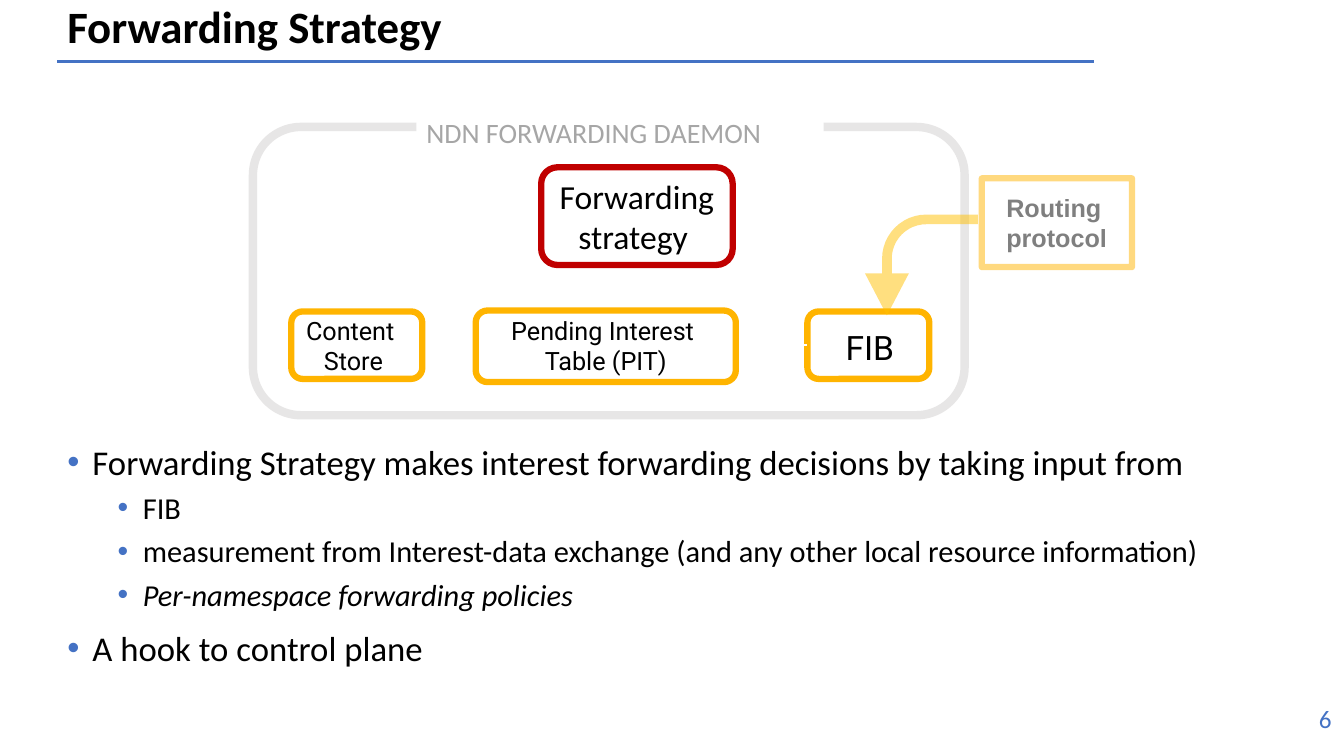
import pptx
import pptx.util
import pptx.dml.color
import pptx.enum.shapes
import pptx.enum.text
import pptx.oxml.ns
import lxml.etree

Pt = pptx.util.Pt
qn = pptx.oxml.ns.qn
SHAPES = pptx.enum.shapes.MSO_SHAPE
ALIGN = pptx.enum.text.PP_ALIGN
ANCHOR = pptx.enum.text.MSO_ANCHOR

BLACK, WHITE, BLUE = "000000", "FFFFFF", "4472C4"
AMBER, RED, GREY, PALE = "FFB400", "C00000", "A6A6A6", "E7E6E6"


def paint(fill, colour, opacity=100):
    """Give a fill (of a shape, line or font) a solid colour."""
    fill.solid()
    fill.fore_color.rgb = pptx.dml.color.RGBColor.from_string(colour)
    if opacity < 100:
        tint = fill._xPr.find(qn("a:solidFill")).find(qn("a:srgbClr"))
        lxml.etree.SubElement(tint, qn("a:alpha"), val=str(opacity * 1000))


def add_run(para, words, size, font="Calibri", colour=BLACK, bold=False,
            italic=False, opacity=100):
    span = para.add_run()
    span.text = words
    span.font.name, span.font.size = font, Pt(size)
    span.font.bold, span.font.italic = bold, italic
    paint(span.font.fill, colour, opacity)


def write(box, lines, size, align=ALIGN.LEFT, anchor=ANCHOR.TOP, spacing=1.0,
          **style):
    """Write one paragraph per line into a shape or text box."""
    frame = box.text_frame
    frame.word_wrap, frame.vertical_anchor = True, anchor
    for index, words in enumerate(lines):
        para = frame.add_paragraph() if index else frame.paragraphs[0]
        para.alignment, para.line_spacing = align, spacing
        add_run(para, words, size, **style)


def add_text(page, place, lines, size, **style):
    box = page.shapes.add_textbox(*map(Pt, place))
    write(box, lines, size, **style)


def add_box(page, kind, place, fill=None, line=None, width=4.5, opacity=100):
    box = page.shapes.add_shape(kind, *map(Pt, place))
    box.shadow.inherit = False
    if fill:
        paint(box.fill, fill)
    else:
        box.fill.background()
    if line:
        paint(box.line.fill, line, opacity)
        box.line.width = Pt(width)
    else:
        box.line.fill.background()
    return box


def add_line(page, start, end, colour, width):
    line = page.shapes.add_connector(
        pptx.enum.shapes.MSO_CONNECTOR.STRAIGHT, *map(Pt, start + end))
    paint(line.line.fill, colour)
    line.line.width = Pt(width)
    lxml.etree.SubElement(line._element.spPr, qn("a:effectLst"))
    return line


def add_bullets(page, place, items):
    frame = page.shapes.add_textbox(*map(Pt, place)).text_frame
    frame.word_wrap = True
    for index, (level, words, italic) in enumerate(items):
        para = frame.add_paragraph() if index else frame.paragraphs[0]
        para.level = level
        para.space_before = Pt(5 if level else 10)
        add_run(para, words, 21.7 if level else 24.8, italic=italic)
        props = para._p.get_or_add_pPr()
        props.set("marL", str(Pt(54 if level else 18)))
        props.set("indent", str(-Pt(18)))
        bullet_colour = lxml.etree.SubElement(props, qn("a:buClr"))
        lxml.etree.SubElement(bullet_colour, qn("a:srgbClr"), val=BLUE)
        lxml.etree.SubElement(props, qn("a:buFont"), typeface="Arial")
        lxml.etree.SubElement(props, qn("a:buChar"), char="•")


def add_daemon(page):
    # Forwarding information base, with a short white link on its left
    fib = add_box(page, SHAPES.ROUNDED_RECTANGLE, (576.7, 222.5, 87.1, 48.2),
                  line=AMBER)
    add_text(page, (576.7, 229.7, 89.3, 36), ["FIB"], 24, font="Roboto",
             align=ALIGN.CENTER)
    link = add_line(page, (534.2, 246.6), (576.7, 246.6), WHITE, 1.5)
    link.end_connect(fib, 1)

    # Content store and pending interest table
    tables = [
        ((208.1, 222.5, 93.6, 48.2), (200.2, 221.8, 104.4, 51.1),
         ["Content ", "Store"]),
        ((339.8, 221.8, 185.8, 51.1), (339.8, 221.8, 185.8, 51.1),
         ["Pending Interest ", "Table (PIT)"]),
    ]
    for outline, text_area, lines in tables:
        add_text(page, text_area, lines, 18, font="Roboto",
                 align=ALIGN.CENTER)
        add_box(page, SHAPES.ROUNDED_RECTANGLE, outline, line=AMBER)

    # Daemon outline, strategy box and heading
    add_box(page, SHAPES.ROUNDED_RECTANGLE, (180.7, 90.7, 508.3, 205.9),
            line=PALE, width=6)
    strategy = add_box(page, SHAPES.ROUNDED_RECTANGLE,
                       (386.6, 119.5, 136.8, 69.8), WHITE, RED)
    write(strategy, ["Forwarding strategy "], 24, align=ALIGN.CENTER,
          anchor=ANCHOR.MIDDLE)
    heading = add_box(page, SHAPES.RECTANGLE, (297.4, 78.5, 290.9, 31.7),
                      WHITE)
    write(heading, ["NDN FORWARDING DAEMON"], 20, anchor=ANCHOR.MIDDLE,
          colour=GREY)


def add_routing(page):
    # Left-aligned label, inset so that it sits in the middle of the box
    routing = add_box(page, SHAPES.RECTANGLE, (701.3, 127.4, 107.3, 63.4),
                      WHITE, AMBER, opacity=50)
    frame = routing.text_frame
    frame.margin_left = Pt(17.5)
    frame.margin_right = frame.margin_top = frame.margin_bottom = 0
    write(routing, ["Routing", "protocol"], 18, anchor=ANCHOR.MIDDLE,
          font="Arial", bold=True, opacity=50)

    # Arrow bending down to the FIB
    arrow = add_box(page, SHAPES.BENT_ARROW, (622.1, 149, 72, 80.6))
    paint(arrow.fill, "FFC000", 50)
    for index, value in enumerate((0.096, 0.218, 0.417, 0.438)):
        arrow.adjustments[index] = value
    arrow.rotation = 270
    arrow._element.spPr.find(qn("a:xfrm")).set("flipH", "1")


def main():
    deck = pptx.Presentation()
    deck.slide_width, deck.slide_height = Pt(960), Pt(540)
    page = deck.slides.add_slide(deck.slide_layouts[6])

    # Title, rule and page number
    add_line(page, (41, 43.9), (781.2, 43.9), BLUE, 2.5)
    add_text(page, (41, 0, 869, 43.9), ["Forwarding Strategy"], 32,
             spacing=0.9, bold=True)
    add_text(page, (874.8, 499, 83.5, 39.6), ["6"], 18, align=ALIGN.RIGHT,
             colour=BLUE)

    # Bullets
    add_bullets(page, (41, 311, 869, 188), [
        (0, "Forwarding Strategy makes interest forwarding decisions by "
            "taking input from", False),
        (1, "FIB", False),
        (1, "measurement from Interest-data exchange (and any other local "
            "resource information)", False),
        (1, "Per-namespace forwarding policies", True),
        (0, "A hook to control plane", False),
    ])

    # Diagram
    add_daemon(page)
    add_routing(page)
    deck.save("out.pptx")


if __name__ == "__main__":
    main()
